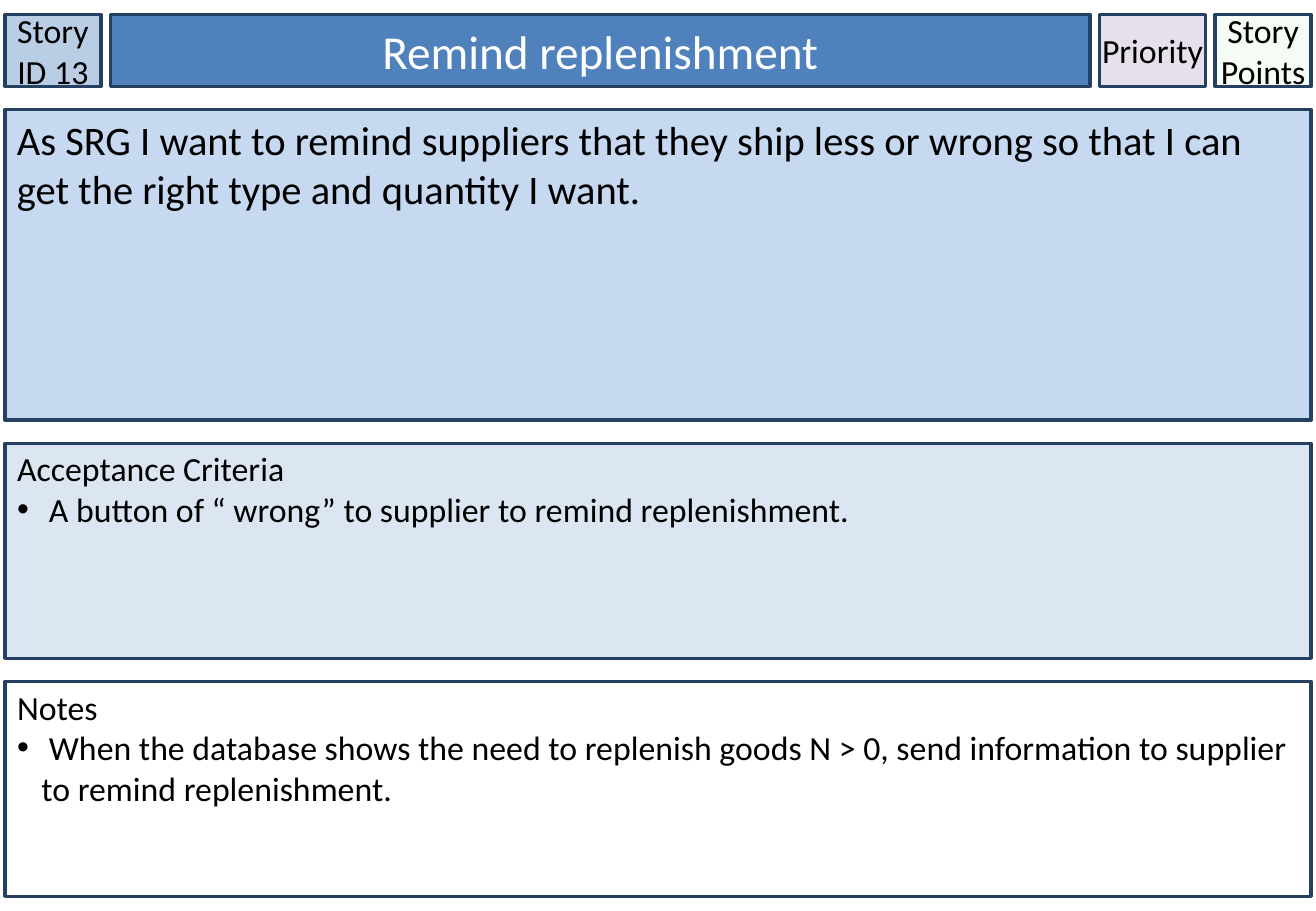
import dataclasses
import typing

import lxml.etree
import pptx
import pptx.dml.color
import pptx.enum.shapes
import pptx.enum.text
import pptx.oxml.ns
import pptx.shapes.autoshape
import pptx.slide
import pptx.util

Inches = pptx.util.Inches
RGBColor = pptx.dml.color.RGBColor
Align = pptx.enum.text.PP_ALIGN
Anchor = pptx.enum.text.MSO_ANCHOR

NAVY = RGBColor(0x25, 0x40, 0x61)
BLUE = RGBColor(0x4F, 0x81, 0xBD)
ID_BLUE = RGBColor(0xB9, 0xCD, 0xE5)
STORY_BLUE = RGBColor(0xC6, 0xD9, 0xF1)
CRITERIA_BLUE = RGBColor(0xDC, 0xE6, 0xF2)
LILAC = RGBColor(0xE6, 0xE0, 0xEC)
MINT = RGBColor(0xCC, 0xF0, 0xCD)
BLACK = RGBColor(0, 0, 0)
WHITE = RGBColor(0xFF, 0xFF, 0xFF)

MARGIN = Inches(0.04)
CARD_WIDTH = Inches(10.75)
HEADER_TOP = Inches(0.12)
HEADER_HEIGHT = Inches(0.59)
HEADER_GAP = Inches(0.08)
PANEL_GAP = Inches(0.19)
BULLET_INDENT = Inches(0.2)


@dataclasses.dataclass(frozen=True)
class Box:
    lines: tuple[str, ...]
    extent: int
    fill: RGBColor
    size: int = 20
    color: RGBColor = BLACK
    side_inset: int = Inches(0.1)
    top_inset: int = Inches(0.05)
    wrap: bool = True
    alpha: typing.Optional[int] = None
    placeholder: typing.Optional[int] = None


TAG_WIDTH = Inches(0.79)
PRIORITY_WIDTH = Inches(0.87)
TITLE_WIDTH = CARD_WIDTH - 2 * TAG_WIDTH - PRIORITY_WIDTH - 3 * HEADER_GAP

HEADER = (
    Box(("Story ID 13",), TAG_WIDTH, ID_BLUE, side_inset=0),
    Box(("Remind replenishment",), TITLE_WIDTH, BLUE, 28, WHITE, placeholder=0),
    Box(("Priority",), PRIORITY_WIDTH, LILAC, side_inset=0, wrap=False),
    Box(("Story Points",), TAG_WIDTH, MINT, side_inset=0, alpha=20),
)
PANELS = (
    Box(("As SRG I want to remind suppliers that they ship less or wrong so that "
         "I can get the right type and quantity I want.",),
        Inches(2.56), STORY_BLUE, 24),
    Box(("Acceptance Criteria",
         " A button of “ wrong” to supplier to remind replenishment."),
        Inches(1.77), CRITERIA_BLUE, top_inset=Inches(0.04), placeholder=1),
    Box(("Notes",
         " When the database shows the need to replenish goods N > 0, "
         "send information to supplier to remind replenishment."),
        Inches(1.77), WHITE, top_inset=Inches(0.04), placeholder=2),
)


def add_sub(parent: lxml.etree._Element, tag: str, **attributes: str) -> None:
    lxml.etree.SubElement(parent, pptx.oxml.ns.qn(tag), attributes)


def set_text(shape: pptx.shapes.autoshape.Shape, box: Box, align: Align, anchor: Anchor) -> None:
    frame = shape.text_frame
    frame.text = "\n".join(box.lines)
    frame.auto_size = pptx.enum.text.MSO_AUTO_SIZE.NONE
    frame.word_wrap = box.wrap
    frame.vertical_anchor = anchor
    frame.margin_left = frame.margin_right = box.side_inset
    frame.margin_top = box.top_inset
    frame.margin_bottom = Inches(0.05)
    for index, paragraph in enumerate(frame.paragraphs):
        paragraph.alignment = align
        paragraph.space_before = pptx.util.Pt(0)
        indent = BULLET_INDENT if index else 0
        properties = paragraph._p.get_or_add_pPr()
        properties.set("marL", str(indent))
        properties.set("indent", str(-indent))
        if index:
            add_sub(properties, "a:buFont", typeface="Arial")
            add_sub(properties, "a:buChar", char="•")
        else:
            add_sub(properties, "a:buNone")
        for run in paragraph.runs:
            run.font.name = "Calibri"
            run.font.size = pptx.util.Pt(box.size)
            run.font.color.rgb = box.color


def draw_box(slide: pptx.slide.Slide, box: Box, left: int, top: int, width: int,
             height: int, align: Align, anchor: Anchor) -> None:
    if box.placeholder is None:
        shape = slide.shapes.add_shape(
            pptx.enum.shapes.MSO_SHAPE.RECTANGLE, left, top, width, height)
    else:
        shape = slide.placeholders[box.placeholder]
        shape.left, shape.top, shape.width, shape.height = left, top, width, height
    shape.fill.solid()
    shape.fill.fore_color.rgb = box.fill
    if box.alpha is not None:
        color = shape._element.spPr.find(".//" + pptx.oxml.ns.qn("a:srgbClr"))
        add_sub(color, "a:alpha", val=str(box.alpha * 1000))
    shape.line.color.rgb = NAVY
    shape.line.width = pptx.util.Pt(2)
    shape.shadow.inherit = False
    set_text(shape, box, align, anchor)


presentation = pptx.Presentation()
presentation.slide_width = Inches(10.83)
presentation.slide_height = Inches(7.5)
story_card = presentation.slides.add_slide(
    presentation.slide_layouts.get_by_name("Two Content"))

left = MARGIN
for box in HEADER:
    draw_box(story_card, box, left, HEADER_TOP, box.extent, HEADER_HEIGHT,
             Align.CENTER, Anchor.MIDDLE)
    left += box.extent + HEADER_GAP

top = HEADER_TOP + HEADER_HEIGHT + PANEL_GAP
for box in PANELS:
    draw_box(story_card, box, MARGIN, top, CARD_WIDTH, box.extent,
             Align.LEFT, Anchor.TOP)
    top += box.extent + PANEL_GAP

presentation.save("out.pptx")
